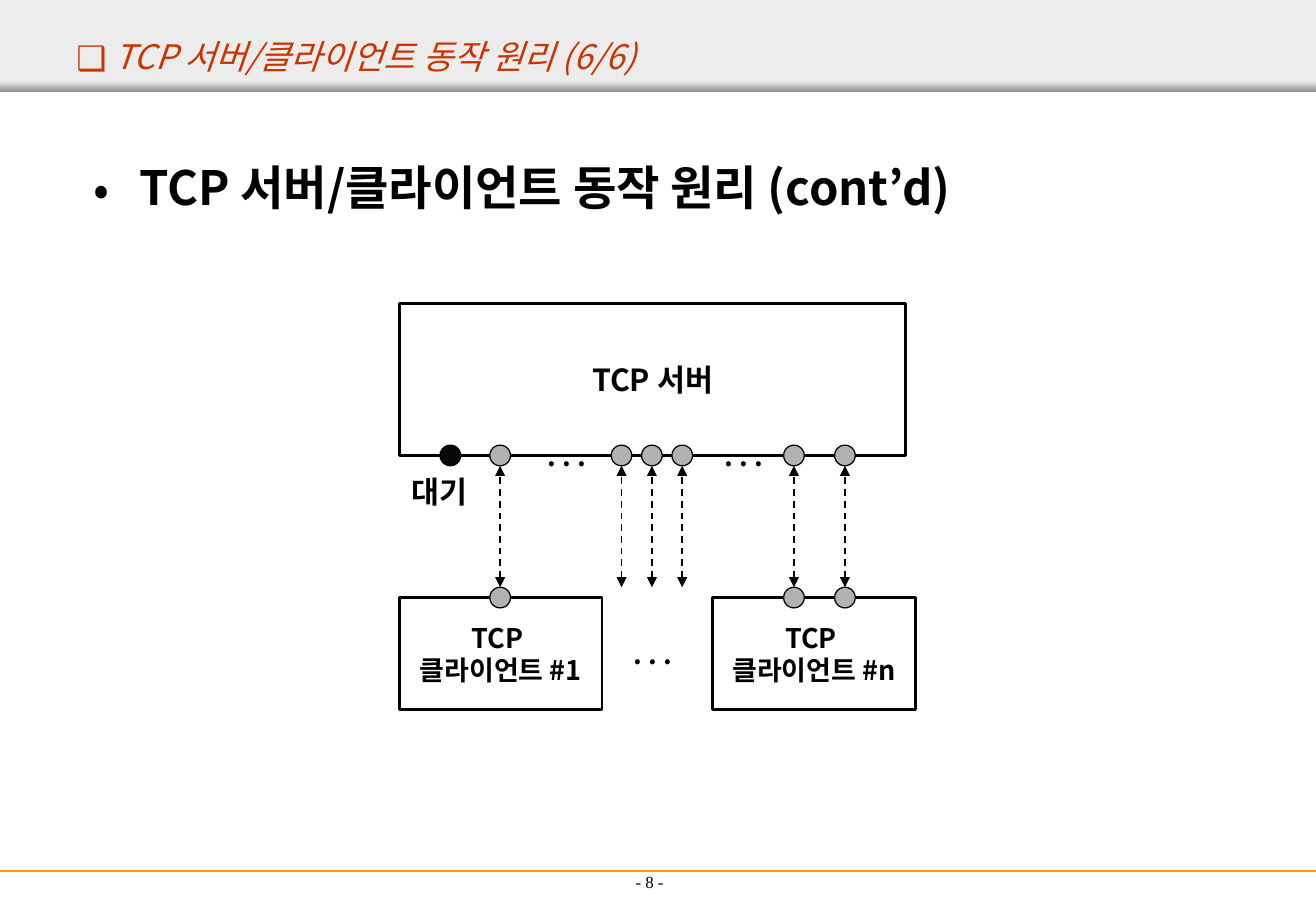
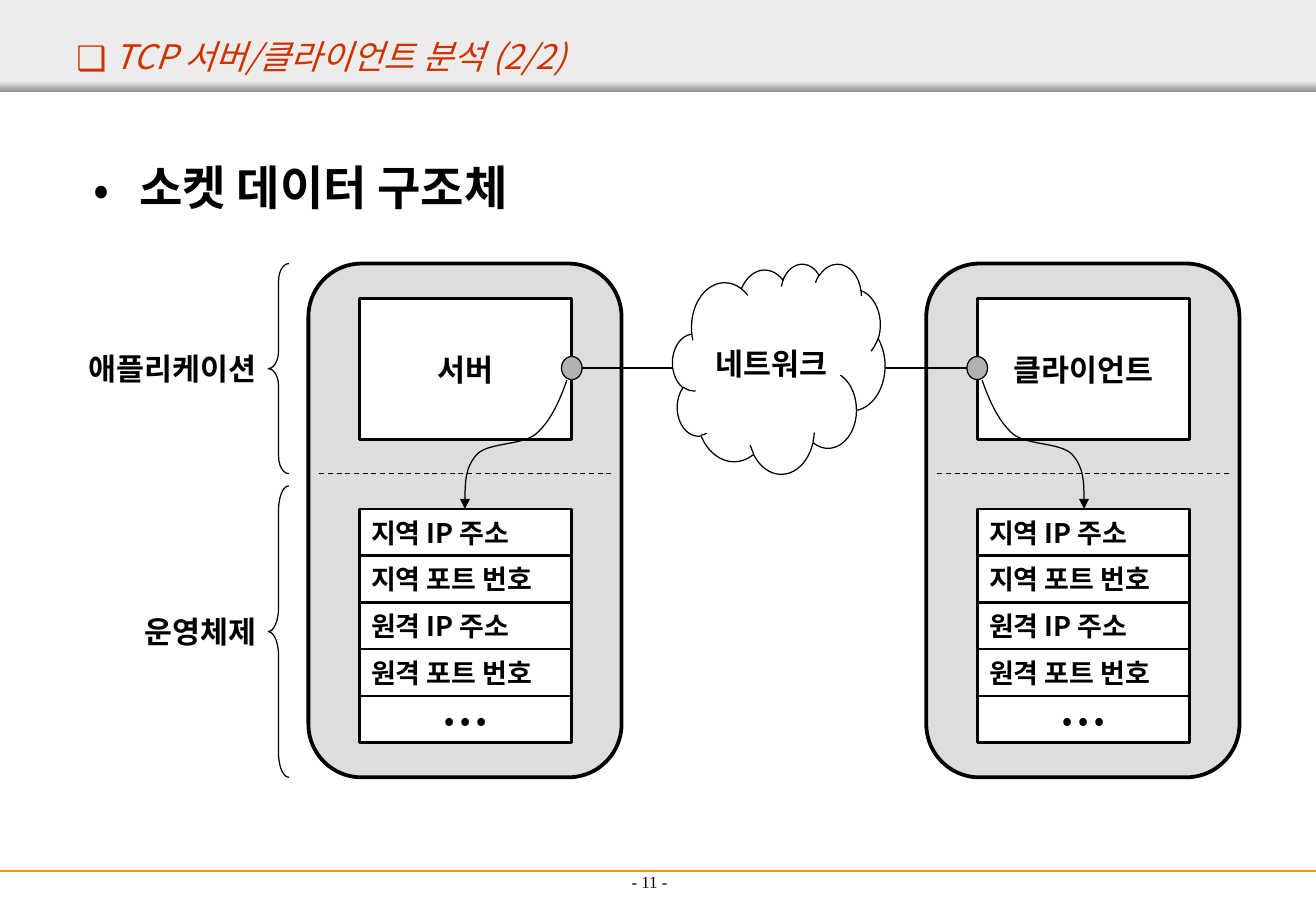
"""Build two slides on TCP server and client structure."""
import lxml.etree
import pptx
import pptx.dml.color
import pptx.enum.dml
import pptx.enum.shapes
import pptx.enum.text
import pptx.oxml.ns
import pptx.util

Inches = pptx.util.Inches
Pt = pptx.util.Pt
qn = pptx.oxml.ns.qn
KIND = pptx.enum.shapes.MSO_SHAPE
ALIGN = pptx.enum.text.PP_ALIGN
ANCHOR = pptx.enum.text.MSO_ANCHOR

WIDTH, HEIGHT = 10.84, 7.5
SANS, SERIF = "Noto Sans CJK KR", "Times New Roman"
BLACK, WHITE, RED, ORANGE = "000000", "FFFFFF", "CC3300", "FF9900"
BAND, BAND_EDGE, PANEL, SOCKET, LISTENER = "ECECEC", "979797", "DDDDDD", "B2B2B2", "080808"

PAGES = [
    {"title": " TCP 서버/클라이언트 동작 원리 (6/6)",
     "heading": "TCP 서버/클라이언트 동작 원리 (cont’d)", "number": "- 8 -"},
    {"title": " TCP 서버/클라이언트 분석 (2/2)",
     "heading": "소켓 데이터 구조체", "number": "- 11 -"},
]

SERVER_EDGE, CLIENT_EDGE, DOT = 3.75, 4.92, 0.17
LISTEN_X = 3.71
CLIENTS = [(3.29, "TCP \n클라이언트 #1"), (5.87, "TCP \n클라이언트 #n")]
LINKS = [(4.12, True), (5.12, False), (5.37, False), (5.62, False), (6.54, True), (6.96, True)]
ELLIPSIS_WIDTH, ELLIPSIS_HEIGHT = 0.8, 0.3
ELLIPSES = [(4.67, SERVER_EDGE), (6.13, SERVER_EDGE), (5.38, 5.38)]

TOP, DIVIDER, BOTTOM = 2.17, 3.9, 6.4
SOCKET_Y, FIELD_TOP, FIELD_HEIGHT = 3.03, 4.19, 0.385
PANEL_WIDTH, BOX_INSET, BOX_WIDTH = 2.58, 0.42, 1.75
HOSTS = [(2.54, "서버", "right"), (7.63, "클라이언트", "left")]
FIELDS = ["지역 IP 주소", "지역 포트 번호", "원격 IP 주소", "원격 포트 번호", "• • •"]
LAYERS = [("애플리케이션", TOP, DIVIDER), ("운영체제", 4.0, BOTTOM)]
CURVE = [(0.04, 3.13), (0.1, 3.3), (0.17, 3.46), (0.29, 3.57), (0.41, 3.67),
         (0.68, 3.64), (0.78, 3.74), (0.88, 3.85), (0.88, 4.02), (0.88, 4.19)]


def rgb(code):
    """Turn a hex string into a colour."""
    return pptx.dml.color.RGBColor.from_string(code)


def assign(target, values):
    """Set attributes from a dict."""
    for name, value in values.items():
        setattr(target, name, value)


def write(shape, text, size=18, align=ALIGN.CENTER, anchor=ANCHOR.MIDDLE, wrap=False,
          color=BLACK, font=SANS, bold=True, italic=False):
    """Fill a shape with formatted paragraphs and return the last one."""
    frame = shape.text_frame
    assign(frame, {"word_wrap": wrap, "vertical_anchor": anchor})
    for index, line in enumerate(text.split("\n")):
        para = frame.add_paragraph() if index else frame.paragraphs[0]
        para.alignment = align
        span = para.add_run()
        span.text = line
        assign(span.font, {"size": Pt(size), "bold": bold, "italic": italic, "name": font})
        span.font.color.rgb = rgb(color)
        east = lxml.etree.SubElement(span.font._element, qn("a:ea"))
        east.set("typeface", font)
    return para


def add_bullet(para, char, color, indent=0):
    """Give a paragraph a coloured bullet and a hanging indent."""
    props = para._p.get_or_add_pPr()
    props.set("marL", str(Inches(indent)))
    props.set("indent", str(Inches(-indent)))
    tint = lxml.etree.SubElement(props, qn("a:buClr"))
    lxml.etree.SubElement(tint, qn("a:srgbClr")).set("val", color)
    lxml.etree.SubElement(props, qn("a:buFont")).set("typeface", SANS)
    lxml.etree.SubElement(props, qn("a:buChar")).set("char", char)


def draw_outline(shape, color, width, dashed=False, arrows=()):
    """Set line colour, width, dash and arrowheads."""
    line = shape.line
    line.color.rgb = rgb(color)
    line.width = Pt(width)
    if dashed:
        line.dash_style = pptx.enum.dml.MSO_LINE.DASH
    for end in arrows:
        mark = lxml.etree.SubElement(shape._element.spPr.find(qn("a:ln")), qn("a:" + end))
        mark.set("type", "triangle")


def add_figure(page, kind, at, fill=None, line=BLACK, width=0.75):
    """Add a flat preset shape."""
    shape = page.shapes.add_shape(kind, *map(Inches, at))
    shape.shadow.inherit = False
    if fill:
        shape.fill.solid()
        shape.fill.fore_color.rgb = rgb(fill)
    else:
        shape.fill.background()
    if line:
        draw_outline(shape, line, width)
    else:
        shape.line.fill.background()
    return shape


def add_label(page, at, text, **style):
    """Add a text box and return its last paragraph."""
    return write(page.shapes.add_textbox(*map(Inches, at)), text, **style)


def add_line(page, start, end, color=BLACK, width=0.75, dashed=False, arrows=()):
    """Add a straight connector without shadow."""
    kind = pptx.enum.shapes.MSO_CONNECTOR.STRAIGHT
    line = page.shapes.add_connector(kind, *map(Inches, start + end))
    draw_outline(line, color, width, dashed, arrows)
    lxml.etree.SubElement(line._element.spPr, qn("a:effectLst"))


def add_curve(page, points):
    """Add an open Bezier arrow through groups of three control points."""
    places = [(Inches(x), Inches(y)) for x, y in points]
    builder = page.shapes.build_freeform(*places[0], scale=1.0)
    builder.add_line_segments(places[1:], close=False)
    curve = builder.convert_to_shape()
    curve.shadow.inherit = False
    curve.fill.background()
    draw_outline(curve, BLACK, 0.75, arrows=["tailEnd"])
    steps = list(curve._element.iter(qn("a:lnTo")))
    for index in range(0, len(steps), 3):
        bend = lxml.etree.Element(qn("a:cubicBezTo"))
        steps[index].addprevious(bend)
        for step in steps[index:index + 3]:
            bend.append(step[0])
            step.getparent().remove(step)


def add_dot(page, x, y, fill=SOCKET, height=DOT):
    """Add a socket dot centred on a point."""
    add_figure(page, KIND.OVAL, (x - DOT / 2, y - height / 2, DOT, height), fill)


def add_page(deck, content):
    """Add a slide with bands, title, heading and page number."""
    page = deck.slides.add_slide(deck.slide_layouts[6])
    add_figure(page, KIND.RECTANGLE, (0, 0, WIDTH, 0.75), BAND, None)
    edge = add_figure(page, KIND.RECTANGLE, (0, 0.67, WIDTH, 0.08), BAND, None)
    edge.fill.gradient()
    edge.fill.gradient_angle = 270
    for stop, position, color in zip(edge.fill.gradient_stops, (0, 1), (BAND, BAND_EDGE)):
        stop.position = position
        stop.color.rgb = rgb(color)
    add_line(page, (0, 7.17), (WIDTH, 7.17), ORANGE, 1.5)
    add_label(page, (3.69, 6.89, 3.32, 0.5), content["number"], size=10, font=SERIF,
              bold=False, anchor=ANCHOR.BOTTOM, wrap=True)
    title = add_label(page, (0.53, 0.25, 10.31, 0.42), content["title"], size=20, color=RED,
                      bold=False, italic=True, align=ALIGN.LEFT, wrap=True)
    add_bullet(title, "❑", RED)
    heading = add_label(page, (0.67, 1.25, 9.5, 5.44), content["heading"], size=28,
                        align=ALIGN.LEFT, anchor=ANCHOR.TOP, wrap=True)
    heading.space_before = Pt(7)
    add_bullet(heading, "•", BLACK, 0.38)
    return page


def draw_connections(page):
    """Draw one server linked to many clients."""
    server = add_figure(page, KIND.RECTANGLE, (3.29, 2.5, 4.17, 1.25), width=1.5)
    write(server, "TCP 서버")
    for x, name in CLIENTS:
        client = add_figure(page, KIND.RECTANGLE, (x, CLIENT_EDGE, 1.67, 0.92), width=1.5)
        write(client, name, size=16)
    add_dot(page, LISTEN_X, SERVER_EDGE, LISTENER)
    add_label(page, (3.29, 3.92, 0.83, 0.25), "대기", align=ALIGN.LEFT)
    for x, has_client in LINKS:
        add_line(page, (x, CLIENT_EDGE - DOT / 2), (x, SERVER_EDGE + DOT / 2), width=1,
                 dashed=True, arrows=["headEnd", "tailEnd"])
        add_dot(page, x, SERVER_EDGE)
        if has_client:
            add_dot(page, x, CLIENT_EDGE)
    for x, y in ELLIPSES:
        at = (x - ELLIPSIS_WIDTH / 2, y - ELLIPSIS_HEIGHT / 2, ELLIPSIS_WIDTH, ELLIPSIS_HEIGHT)
        add_label(page, at, ". . .", size=16)


def draw_host(page, left, name, side):
    """Draw the application, socket and socket fields of one host."""
    box_left = left + BOX_INSET
    box = add_figure(page, KIND.RECTANGLE, (box_left, 2.46, BOX_WIDTH, 1.16), WHITE, width=1.5)
    write(box, name)
    add_line(page, (left + 0.09, DIVIDER), (left + PANEL_WIDTH - 0.08, DIVIDER), dashed=True)
    for row, text in enumerate(FIELDS):
        at = (box_left, FIELD_TOP + row * FIELD_HEIGHT, BOX_WIDTH, FIELD_HEIGHT)
        field = add_figure(page, KIND.RECTANGLE, at, WHITE, width=1.5)
        is_last = row == len(FIELDS) - 1
        write(field, text, size=16, align=ALIGN.CENTER if is_last else ALIGN.LEFT)
    socket_x, inward = (box_left + BOX_WIDTH, -1) if side == "right" else (box_left, 1)
    add_dot(page, socket_x, SOCKET_Y, height=0.19)
    add_curve(page, [(socket_x + inward * x, y) for x, y in CURVE])


def draw_sockets(page):
    """Draw two hosts joined by a network, with layer braces."""
    for left, name, side in HOSTS:
        at = (left, TOP, PANEL_WIDTH, BOTTOM - TOP)
        panel = add_figure(page, KIND.ROUNDED_RECTANGLE, at, PANEL, width=2.25)
        panel.adjustments[0] = 0.17
    start, end = HOSTS[0][0] + BOX_INSET + BOX_WIDTH, HOSTS[1][0] + BOX_INSET
    add_line(page, (start, SOCKET_Y), (end, SOCKET_Y))
    for host in HOSTS:
        draw_host(page, *host)
    for name, top, bottom in LAYERS:
        height = bottom - top
        add_label(page, (0.63, top + height / 2 - 0.19, 1.58, 0.38), name, align=ALIGN.RIGHT)
        brace = add_figure(page, KIND.LEFT_BRACE, (2.21, top, 0.17, height))
        brace.adjustments[0] = height / 12 / 0.17
    cloud = add_figure(page, KIND.CLOUD, (5.54, TOP, 1.75, DIVIDER - TOP), WHITE)
    write(cloud, "네트워크")


def main():
    """Build and save the deck."""
    deck = pptx.Presentation()
    assign(deck, {"slide_width": Inches(WIDTH), "slide_height": Inches(HEIGHT)})
    for content, draw in zip(PAGES, (draw_connections, draw_sockets)):
        draw(add_page(deck, content))
    deck.save("out.pptx")


if __name__ == "__main__":
    main()
